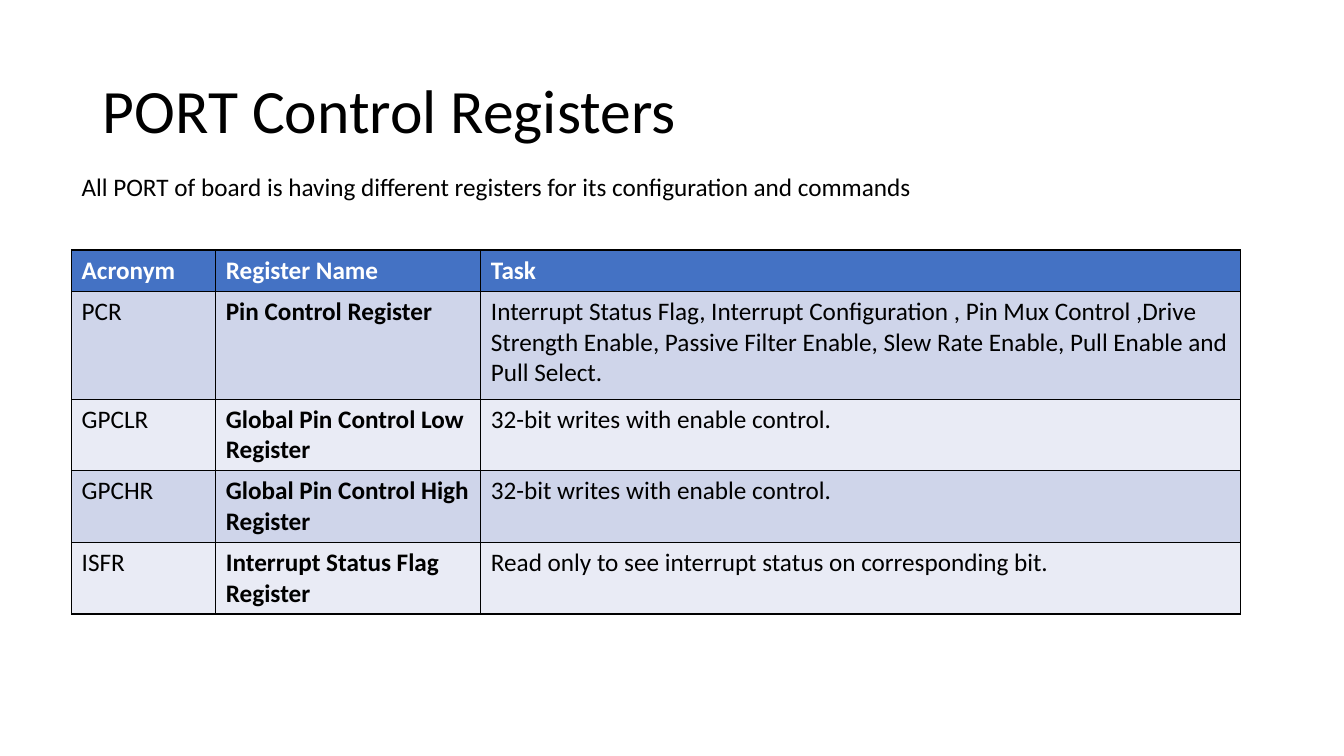
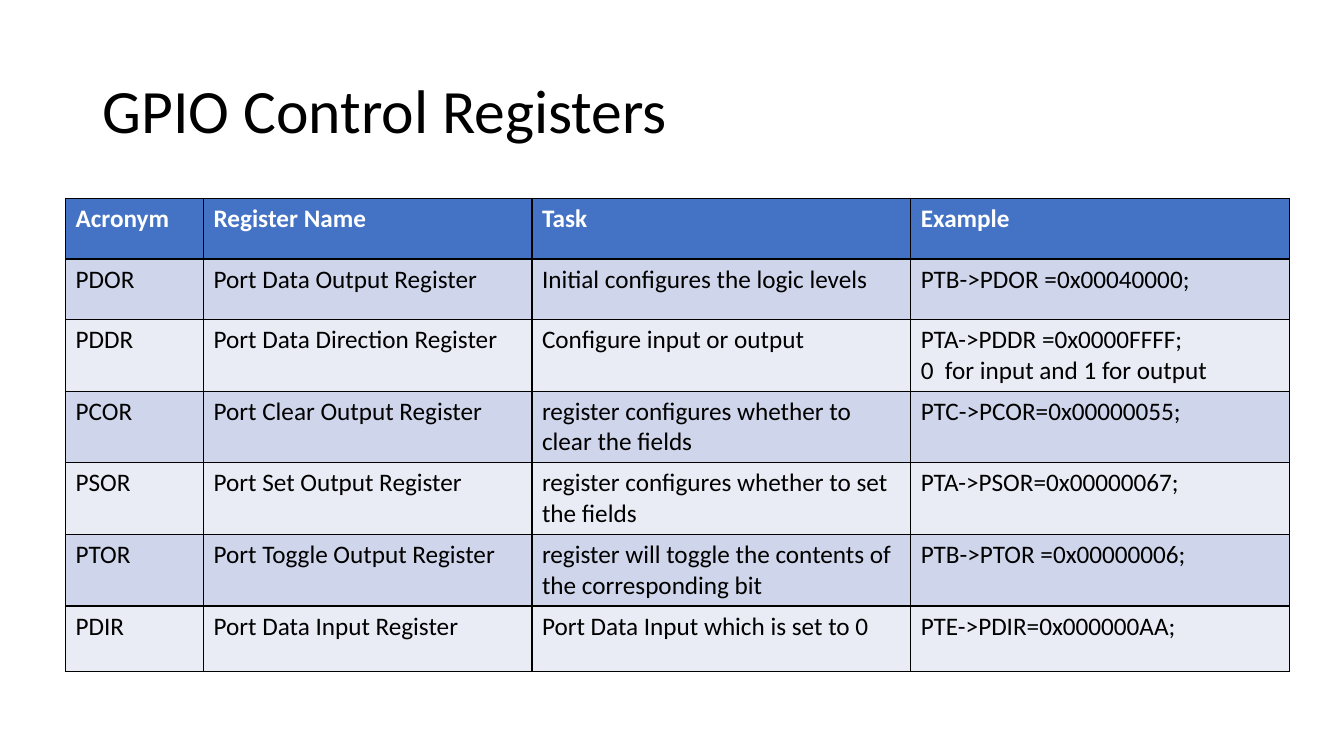
import dataclasses

import pptx
import pptx.dml.color
import pptx.enum.text
import pptx.oxml
import pptx.oxml.ns
import pptx.util


@dataclasses.dataclass(frozen=True)
class Theme:
    font: str = "Calibri"
    title_size: int = 44
    body_size: int = 18
    ink: str = "000000"
    header_ink: str = "FFFFFF"
    header_fill: str = "4472C4"
    bands: tuple = ("CFD5EA", "E9EBF5")
    border_width: int = 1


THEME = Theme()
SLIDE_WIDTH = pptx.util.Inches(13.33)
SLIDE_HEIGHT = pptx.util.Inches(7.5)

# Boxes are left, top, width, height on a grid of 100 columns by 100 rows
TITLE_BOX = (6.9, 5.33, 86.25, 19.33)

PORT_INTRO = "All PORT of board is having different registers for its configuration and commands"
PORT_INTRO_BOX = (5.33, 22, 87.83, 5.33)
PORT_TABLE_BOX = (5.33, 33.07, 87, 48.13)
PORT_COLUMNS = (1.43, 2.63, 7.54)
PORT_ROWS = (0.41, 1.07, 0.71, 0.71, 0.71)
PORT_REGISTERS = [
    ("Acronym", "Register Name", "Task"),
    ("PCR", "Pin Control Register",
     "Interrupt Status Flag, Interrupt Configuration , Pin Mux Control ,Drive Strength Enable, "
     "Passive Filter Enable, Slew Rate Enable, Pull Enable and Pull Select."),
    ("GPCLR", "Global Pin Control Low Register", "32-bit writes with enable control."),
    ("GPCHR", "Global Pin Control High Register", "32-bit writes with enable control."),
    ("ISFR", "Interrupt Status Flag Register",
     "Read only to see interrupt status on corresponding bit."),
]

GPIO_TABLE_BOX = (4.88, 26.27, 91.07, 62.53)
GPIO_COLUMNS = (1.37, 3.26, 3.76, 3.76)
GPIO_ROWS = (0.6, 0.6, 0.71, 0.71, 0.71, 0.71, 0.65)
GPIO_REGISTERS = [
    ("Acronym", "Register Name", "Task", "Example"),
    ("PDOR", "Port Data Output Register", "Initial configures the logic levels",
     "PTB->PDOR =0x00040000;"),
    ("PDDR", "Port Data Direction Register", "Configure input or output",
     "PTA->PDDR =0x0000FFFF;\n0  for input and 1 for output"),
    ("PCOR", "Port Clear Output Register", "register configures whether to clear the fields",
     "PTC->PCOR=0x00000055;"),
    ("PSOR", "Port Set Output Register", "register configures whether to set the fields",
     "PTA->PSOR=0x00000067;"),
    ("PTOR", "Port Toggle Output Register",
     "register will toggle the contents of the corresponding bit", "PTB->PTOR =0x00000006;"),
    ("PDIR", "Port Data Input Register", "Port Data Input which is set to 0",
     "PTE->PDIR=0x000000AA;"),
]


def on_grid(box):
    left, top, width, height = box
    column, row = SLIDE_WIDTH / 100, SLIDE_HEIGHT / 100
    return round(left * column), round(top * row), round(width * column), round(height * row)


def rgb(color):
    return pptx.dml.color.RGBColor.from_string(color)


def write(frame, text, size=THEME.body_size, color=THEME.ink, bold=False):
    """Write each line of the text as one paragraph with one run."""
    for index, line in enumerate(text.split("\n")):
        paragraph = frame.add_paragraph() if index else frame.paragraphs[0]
        run = paragraph.add_run()
        run.text = line
        run.font.name = THEME.font
        run.font.size = pptx.util.Pt(size)
        run.font.bold = bold
        run.font.color.rgb = rgb(color)


def add_titled_slide(deck, title):
    slide = deck.slides.add_slide(deck.slide_layouts[5])
    heading = slide.shapes.title
    heading.left, heading.top, heading.width, heading.height = on_grid(TITLE_BOX)
    frame = heading.text_frame
    frame.vertical_anchor = pptx.enum.text.MSO_ANCHOR.MIDDLE
    write(frame, title, THEME.title_size)
    frame.paragraphs[0].alignment = pptx.enum.text.PP_ALIGN.LEFT
    frame.paragraphs[0].line_spacing = 0.9
    return slide


def add_intro(slide, box, text):
    frame = slide.shapes.add_textbox(*on_grid(box)).text_frame
    frame.word_wrap = True
    write(frame, text)


def outline(cell):
    """Draw the four borders, which come before the fill in the cell's XML."""
    properties = cell._tc.get_or_add_tcPr()
    for position, side in enumerate(("lnL", "lnR", "lnT", "lnB")):
        border = pptx.oxml.parse_xml(
            f'<a:{side} {pptx.oxml.ns.nsdecls("a")} w="{pptx.util.Pt(THEME.border_width)}">'
            f'<a:solidFill><a:srgbClr val="{THEME.ink}"/></a:solidFill></a:{side}>')
        properties.insert(position, border)


def add_register_table(slide, box, registers, columns, rows, bold_column=None):
    """Fill the box with a table whose columns and rows share it by weight."""
    left, top, width, height = on_grid(box)
    table = slide.shapes.add_table(len(rows), len(columns), left, top, width, height).table
    for column, weight in zip(table.columns, columns):
        column.width = round(width * weight / sum(columns))
    for row, weight in zip(table.rows, rows):
        row.height = round(height * weight / sum(rows))

    # Header row, then alternating bands
    for r, register in enumerate(registers):
        is_header = r == 0
        fill = THEME.header_fill if is_header else THEME.bands[(r - 1) % 2]
        ink = THEME.header_ink if is_header else THEME.ink
        for c, text in enumerate(register):
            cell = table.cell(r, c)
            cell.fill.solid()
            cell.fill.fore_color.rgb = rgb(fill)
            outline(cell)
            write(cell.text_frame, text, color=ink, bold=is_header or c == bold_column)


def build_port_slide(deck):
    slide = add_titled_slide(deck, "PORT Control Registers")
    add_register_table(slide, PORT_TABLE_BOX, PORT_REGISTERS, PORT_COLUMNS, PORT_ROWS,
                       bold_column=1)
    add_intro(slide, PORT_INTRO_BOX, PORT_INTRO)


def build_gpio_slide(deck):
    slide = add_titled_slide(deck, "GPIO Control Registers")
    add_register_table(slide, GPIO_TABLE_BOX, GPIO_REGISTERS, GPIO_COLUMNS, GPIO_ROWS)


def main():
    deck = pptx.Presentation()
    deck.slide_width, deck.slide_height = SLIDE_WIDTH, SLIDE_HEIGHT
    build_port_slide(deck)
    build_gpio_slide(deck)
    deck.save("out.pptx")


if __name__ == "__main__":
    main()
